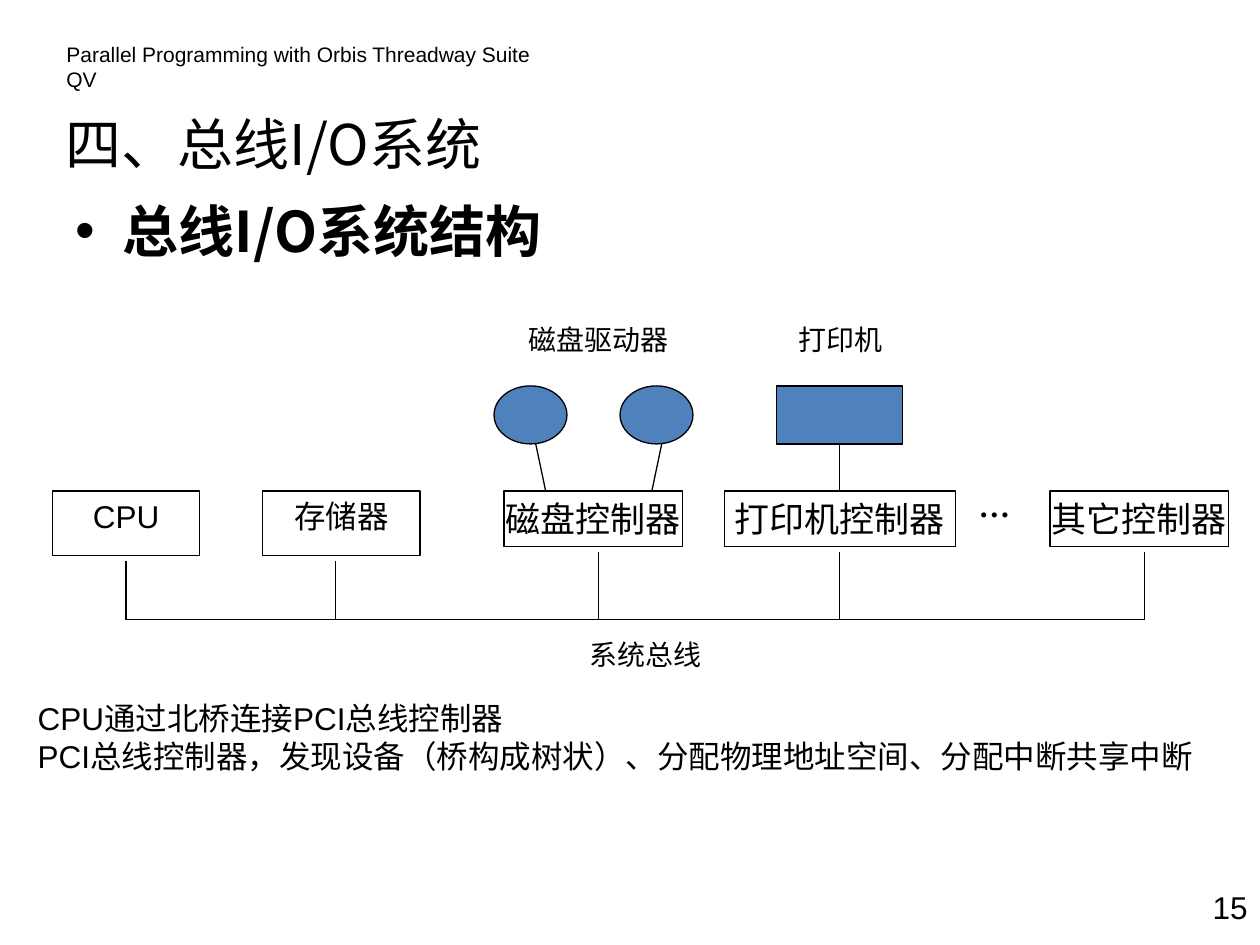
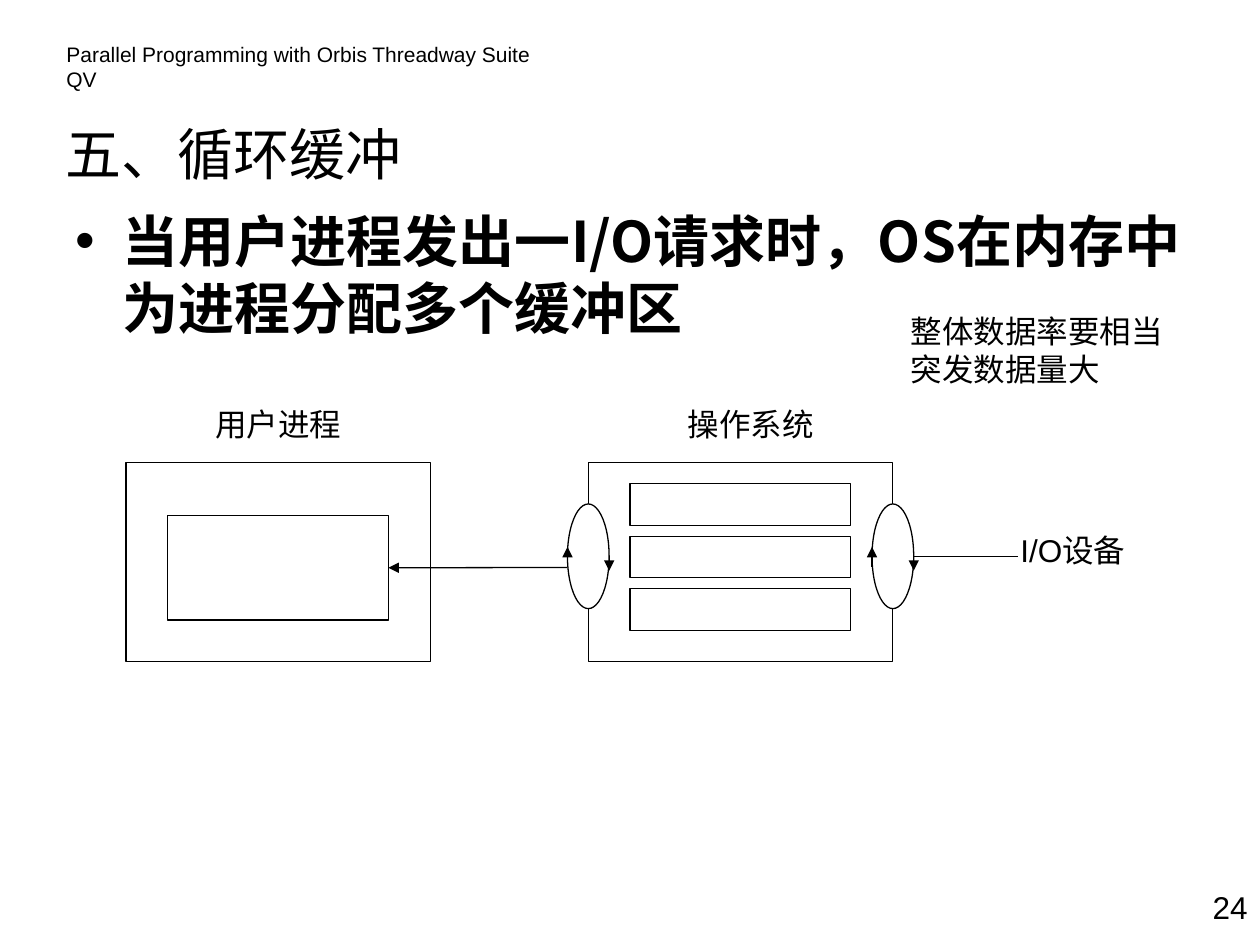
"""Build two slides on I/O systems: the bus structure and circular buffering."""
from lxml.etree import SubElement
from pptx import Presentation
from pptx.dml.color import RGBColor
from pptx.enum.shapes import MSO_CONNECTOR, MSO_SHAPE
from pptx.enum.text import MSO_ANCHOR, PP_ALIGN
from pptx.oxml.ns import qn
from pptx.util import Cm, Pt

COLORS = {"ink": "000000", "device": "4F81BD", "paper": "FFFFFF"}
LATIN, CJK, SERIF = "Arial", "Noto Sans CJK SC", "Times New Roman"
LEFT, CENTER, RIGHT = PP_ALIGN.LEFT, PP_ALIGN.CENTER, PP_ALIGN.RIGHT
RECT, OVAL = MSO_SHAPE.RECTANGLE, MSO_SHAPE.OVAL

HEADER = "Parallel Programming with Orbis Threadway Suite QV"

BUS = {
    "title": "四、总线I/O系统", "top": 1.93, "number": "15",
    "bullet": "总线I/O系统结构",
    "units": [
        ("CPU", 1.06, 2.97, 2.54),
        ("存储器", 5.29, 3.18, 6.77),
    ],
    "controllers": [
        ("磁盘控制器", 10.16, 3.6, 12.06),
        ("打印机控制器", 14.6, 4.66, 16.93),
        ("其它控制器", 21.17, 3.6, 23.07),
    ],
    "disks": [(9.96, 10.8, 11.0), (12.5, 13.34, 13.14)],
    "labels": [
        ("磁盘驱动器", 9.74, 6.38, 4.65),
        ("打印机", 15.67, 6.38, 2.54),
        ("系统总线", 11.0, 12.73, 4.02),
    ],
    "notes": [
        "CPU通过北桥连接PCI总线控制器",
        "PCI总线控制器，发现设备（桥构成树状）、分配物理地址空间、分配中断共享中断",
    ],
}
BUFFER = {
    "title": "五、循环缓冲", "top": 2.13, "number": "24",
    "bullet": "当用户进程发出一I/O请求时，OS在内存中为进程分配多个缓冲区",
    "panels": [("用户进程", 3.81, 2.54), ("操作系统", 13.34, 11.86)],
    "buffers": 3,
    "device": "I/O设备",
    "notes": ["整体数据率要相当", "突发数据量大"],
}


def rgb(name):
    return RGBColor.from_string(COLORS[name])


def write(tf, text, size=18, font=LATIN, ea=CJK, bold=False, align=LEFT,
          bullet=False, wrap=True, side=0.25, anchor=MSO_ANCHOR.TOP):
    tf.word_wrap = wrap
    tf.vertical_anchor = anchor
    tf.margin_left = tf.margin_right = Cm(side)
    lines = [text] if isinstance(text, str) else text
    for i, line in enumerate(lines):
        p = tf.add_paragraph() if i else tf.paragraphs[0]
        p.alignment = align
        if bullet:
            pPr = p._p.get_or_add_pPr()
            pPr.set("marL", str(Cm(0.95)))
            pPr.set("indent", str(-Cm(0.95)))
            SubElement(pPr, qn("a:buFont"), typeface=LATIN)
            SubElement(pPr, qn("a:buChar"), char="•")
        r = p.add_run()
        r.text = line
        r.font.size = Pt(size)
        r.font.bold = bold
        r.font.color.rgb = rgb("ink")
        r.font.name = font
        SubElement(r._r.get_or_add_rPr(), qn("a:ea"), typeface=ea)


def add_text(s, text, x, y, w, h, **fmt):
    sp = s.shapes.add_textbox(Cm(x), Cm(y), Cm(w), Cm(h))
    write(sp.text_frame, text, **fmt)


def add_box(s, kind, x, y, w, h, fill=None, text=None, **fmt):
    sp = s.shapes.add_shape(kind, Cm(x), Cm(y), Cm(w), Cm(h))
    sp.shadow.inherit = False
    if fill:
        sp.fill.solid()
        sp.fill.fore_color.rgb = rgb(fill)
    else:
        sp.fill.background()
    sp.line.color.rgb = rgb("ink")
    sp.line.width = Pt(0.75)
    if text:
        write(sp.text_frame, text, align=CENTER, **fmt)
    return sp


def add_line(s, x1, y1, x2, y2, arrow=False):
    line = s.shapes.add_connector(MSO_CONNECTOR.STRAIGHT,
                                  Cm(x1), Cm(y1), Cm(x2), Cm(y2))
    line.line.color.rgb = rgb("ink")
    line.line.width = Pt(0.75)
    spPr = line._element.spPr
    if arrow:
        SubElement(spPr.find(qn("a:ln")), qn("a:tailEnd"), type="triangle")
    SubElement(spPr, qn("a:effectLst"))
    return line


def add_page(prs, page):
    s = prs.slides.add_slide(prs.slide_layouts[5])
    top = page["top"]
    title = s.shapes.title
    title.left, title.top, title.width, title.height = map(Cm, (1.07, top, 14.4, 1.9))
    write(title.text_frame, page["title"], size=32, font=CJK, anchor=MSO_ANCHOR.MIDDLE)
    add_text(s, HEADER, 1.09, 0.71, 10.41, 0.76, size=12)
    add_text(s, page["number"], 23.7, 17.78, 1.7, 1.27, align=RIGHT)
    add_text(s, page["bullet"], 1.27, top + 1.9, 23.6, 2.54,
             size=32, font=CJK, bold=True, bullet=True)
    return s


def build_bus(prs):
    s = add_page(prs, BUS)
    top, bus_y, gap = 9.9, 12.49, 0.1
    device_y, device_h = 7.78, 1.17
    rows = [(BUS["units"], 1.3, {}),
            (BUS["controllers"], 1.12, {"size": 20, "side": 0})]
    boxes, drops = {}, []
    for units, h, fmt in rows:
        for name, x, w, drop_x in units:
            boxes[name] = add_box(s, RECT, x, top, w, h, text=name, **fmt)
            add_line(s, drop_x, top + h + gap, drop_x, bus_y)
            drops.append(drop_x)
    add_line(s, drops[0], bus_y, drops[-1], bus_y)
    add_text(s, "…", 19.48, 9.68, 1.47, 1.27, font=SERIF, ea=SERIF, bold=True)

    for x, start_x, end_x in BUS["disks"]:
        add_box(s, OVAL, x, device_y, 1.47, device_h, fill="device")
        add_line(s, start_x, device_y + device_h, end_x, top)
    printer = add_box(s, RECT, 15.66, device_y, 2.54, device_h, fill="device")
    link = add_line(s, 16.93, device_y + device_h, 16.93, top)
    link.begin_connect(printer, 2)
    link.end_connect(boxes["打印机控制器"], 0)

    for text, x, y, w in BUS["labels"]:
        add_text(s, text, x, y, w, 0.94, size=16, align=CENTER)
    add_text(s, BUS["notes"], 0.51, 13.97, 24.2, 1.8)


def build_buffer(prs):
    s = add_page(prs, BUFFER)
    top, panel_w, panel_h = 9.32, 6.14, 4.02
    inset, buffer_w, buffer_h = 0.84, 4.45, 0.84
    ring_w, ring_h, ring_y = 0.84, 2.11, 10.16
    middle = ring_y + ring_h / 2
    for name, label_x, x in BUFFER["panels"]:
        add_box(s, RECT, x, top, panel_w, panel_h)
        add_text(s, name, label_x, 8.05, 3.6, 1.02, align=CENTER)
    user_x, system_x = (x for *_, x in BUFFER["panels"])
    user_buffer = add_box(s, RECT, user_x + inset, 10.39, buffer_w, 2.11)
    for i in range(BUFFER["buffers"]):
        add_box(s, RECT, system_x + inset, 9.75 + 1.06 * i, buffer_w, buffer_h)

    for x in (system_x, system_x + panel_w):
        left, right = x - ring_w / 2, x + ring_w / 2
        add_box(s, OVAL, left, ring_y, ring_w, ring_h, fill="paper")
        add_line(s, right, middle, right, middle + 0.29, arrow=True)
        add_line(s, left, middle + 0.21, left, middle - 0.19, arrow=True)

    transfer = add_line(s, system_x - ring_w / 2, 11.44,
                        user_x + inset + buffer_w, 11.44, arrow=True)
    transfer.end_connect(user_buffer, 3)
    add_line(s, system_x + panel_w + ring_w / 2, middle, 20.52, middle)
    add_text(s, BUFFER["device"], 20.32, 10.59, 2.74, 1.02)
    add_text(s, BUFFER["notes"], 18.11, 6.17, 5.64, 1.8, wrap=False)


def main():
    prs = Presentation()
    prs.slide_width, prs.slide_height = Cm(25.4), Cm(19.05)
    build_bus(prs)
    build_buffer(prs)
    prs.save("out.pptx")


if __name__ == "__main__":
    main()
